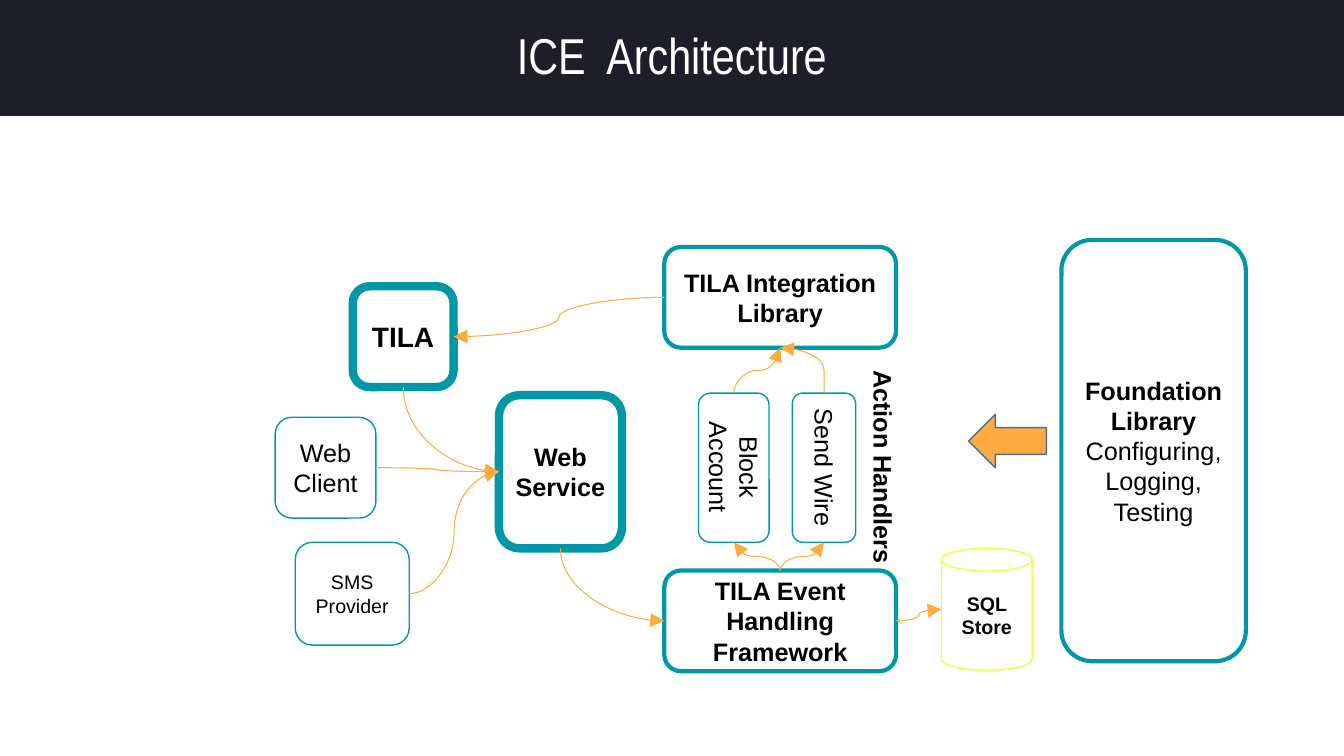
from typing import NamedTuple

from lxml.etree import SubElement
from pptx import Presentation
from pptx.dml.color import RGBColor
from pptx.enum.shapes import MSO_CONNECTOR, MSO_SHAPE
from pptx.enum.text import MSO_ANCHOR, MSO_AUTO_SIZE, PP_ALIGN
from pptx.oxml.ns import qn
from pptx.util import Inches, Pt

CELL = Inches(0.1)
COLS, ROWS = 133.33, 75
TEAL, LIME, AMBER, WHITE = "0097A7", "EEFF41", "FFAB40", "FFFFFF"
STEEL, NIGHT, BLACK = "42719B", "1D1E2A", "000000"


class Box(NamedTuple):
    col: float
    row: float
    wide: float
    high: float
    text: str = ""
    size: float = 18
    bold: int = 0
    edge: float = 1
    line: str = TEAL
    fill: str = WHITE
    form: MSO_SHAPE = MSO_SHAPE.ROUNDED_RECTANGLE
    turn: float = 0


class Label(NamedTuple):
    col: float
    row: float
    wide: float
    high: float
    text: str
    bold: int = 0
    align: PP_ALIGN = PP_ALIGN.CENTER
    anchor: MSO_ANCHOR = MSO_ANCHOR.MIDDLE


class Link(NamedTuple):
    start: str
    out: str
    end: str
    into: str
    form: str = "curvedConnector3"
    bend: int = 50000
    head: str = ""
    plumb: bool = False


BOXES = {
    "tila": Box(35, 28.4, 10, 10, "TILA", 20, bold=1, edge=6),
    "base": Box(105.3, 23.8, 18.3, 41.8, "Foundation Library\nConfiguring, Logging, Testing", bold=1, edge=3),
    "client": Box(27.3, 41.4, 10, 10, "Web Client"),
    "bridge": Box(65.9, 24.5, 23, 10, "TILA Integration Library", bold=1, edge=3),
    "web": Box(49.5, 39.2, 12.2, 15.2, "Web\nService", bold=2, edge=6),
    "events": Box(65.9, 56.6, 23, 10, "TILA Event Handling Framework", bold=1, edge=3),
    "store": Box(93.4, 54.4, 9, 12.1, "SQL Store", 14, bold=1, line=LIME, form=MSO_SHAPE.CAN),
    "block": Box(69.3, 39, 7, 14.8),
    "wire": Box(78.6, 39, 6.3, 14.8),
    "text": Box(29.3, 53.8, 11.3, 10.2, "SMS\nProvider", 14),
    "arrow": Box(96.1, 41.1, 7.7, 5.3, line=STEEL, fill=AMBER, form=MSO_SHAPE.RIGHT_ARROW, turn=180),
}

LABELS = [
    Label(65.8, 43.2, 14.1, 6.3, "Block Account"),
    Label(74.7, 43.5, 14.2, 5.7, "Send Wire"),
    Label(76.4, 45, 22.5, 4, "Action Handlers", 1, PP_ALIGN.LEFT, MSO_ANCHOR.TOP),
]

LINKS = [
    Link("tila", "bottom", "web", "left", "curvedConnector2", plumb=True),
    Link("web", "bottom", "events", "left", "curvedConnector2", plumb=True),
    Link("events", "right", "store", "left", head="stealth"),
    Link("wire", "top", "bridge", "bottom", bend=0),
    Link("bridge", "left", "tila", "right"),
    Link("block", "top", "bridge", "bottom", plumb=True),
    Link("events", "top", "block", "bottom", plumb=True),
    Link("events", "top", "wire", "bottom", plumb=True),
    Link("client", "right", "web", "left"),
    Link("text", "right", "web", "left"),
]

SIDES = {"left": (0, 0.5), "right": (1, 0.5), "top": (0.5, 0), "bottom": (0.5, 1)}


def tint(code: str) -> RGBColor:
    return RGBColor.from_string(code)


def cells(*spans: float) -> list[int]:
    return [round(span * CELL) for span in spans]


def write(frame, text: str, *, size: float = 18, bold: int = 0, hue: str = BLACK, font: str = "Arial",
          align=PP_ALIGN.CENTER, anchor=MSO_ANCHOR.MIDDLE, space: float = 1) -> None:
    frame.word_wrap = True
    frame.auto_size = MSO_AUTO_SIZE.NONE
    frame.vertical_anchor = anchor
    frame.margin_left = frame.margin_right = Inches(0.1)
    frame.margin_top = frame.margin_bottom = Inches(0.05)
    for rank, words in enumerate(text.split("\n")):
        para = frame.add_paragraph() if rank else frame.paragraphs[0]
        para.alignment = align
        para.line_spacing = space
        run = para.add_run()
        run.text = words
        run.font.name = font
        run.font.size = Pt(size)
        run.font.bold = rank < bold
        run.font.color.rgb = tint(hue)


def draw_box(slide, box: Box) -> None:
    shape = slide.shapes.add_shape(box.form, *cells(*box[:4]))
    shape.shadow.inherit = False
    shape.rotation = box.turn
    shape.fill.solid()
    shape.fill.fore_color.rgb = tint(box.fill)
    shape.line.color.rgb = tint(box.line)
    shape.line.width = Pt(box.edge)
    if box.text:
        write(shape.text_frame, box.text, size=box.size, bold=box.bold)


def draw_label(slide, label: Label) -> None:
    shape = slide.shapes.add_textbox(*cells(*label[:4]))
    shape.rotation = 90
    write(shape.text_frame, label.text, bold=label.bold, align=label.align, anchor=label.anchor)


def spot(name: str, side: str) -> tuple[float, float]:
    box, (across, down) = BOXES[name], SIDES[side]
    return box.col + across * box.wide, box.row + down * box.high


def draw_link(slide, link: Link) -> None:
    (x1, y1), (x2, y2) = spot(link.start, link.out), spot(link.end, link.into)
    falls = y2 > y1
    if link.plumb:
        mid_x, mid_y = (x1 + x2) / 2, (y1 + y2) / 2
        run, rise = abs(y2 - y1) / 2, (x1 - x2 if falls else x2 - x1) / 2
        x1, y1, x2, y2 = mid_x - run, mid_y - rise, mid_x + run, mid_y + rise
    wire = slide.shapes.add_connector(MSO_CONNECTOR.CURVE, *cells(x1, y1, x2, y2))
    wire.line.color.rgb = tint(AMBER)
    wire.line.width = Pt(0.75)
    props = wire._element.spPr
    if link.plumb:
        props.find(qn("a:xfrm")).set("rot", str((90 if falls else 270) * 60000))
    shape = props.find(qn("a:prstGeom"))
    shape.set("prst", link.form)
    if link.form == "curvedConnector3":
        SubElement(shape.find(qn("a:avLst")), qn("a:gd"), name="adj1", fmla=f"val {link.bend}")
    line = props.find(qn("a:ln"))
    if link.head:
        SubElement(line, qn("a:headEnd"), type=link.head, w="sm", len="sm")
    SubElement(line, qn("a:tailEnd"), type="triangle", w="lg", len="lg")
    SubElement(props, qn("a:effectLst"))


def draw_title(slide, text: str) -> None:
    title = slide.shapes.title
    title.left, title.top, title.width, title.height = cells(0, 0, COLS, 11.5)
    title.fill.solid()
    title.fill.fore_color.rgb = tint(NIGHT)
    write(title.text_frame, text, size=36, hue=WHITE, font="Arial Narrow", space=0.9)


def main() -> None:
    deck = Presentation()
    deck.slide_width, deck.slide_height = cells(COLS, ROWS)
    slide = deck.slides.add_slide(deck.slide_layouts[5])
    draw_title(slide, "ICE  Architecture")
    for box in BOXES.values():
        draw_box(slide, box)
    for label in LABELS:
        draw_label(slide, label)
    for link in LINKS:
        draw_link(slide, link)
    deck.save("out.pptx")


if __name__ == "__main__":
    main()
